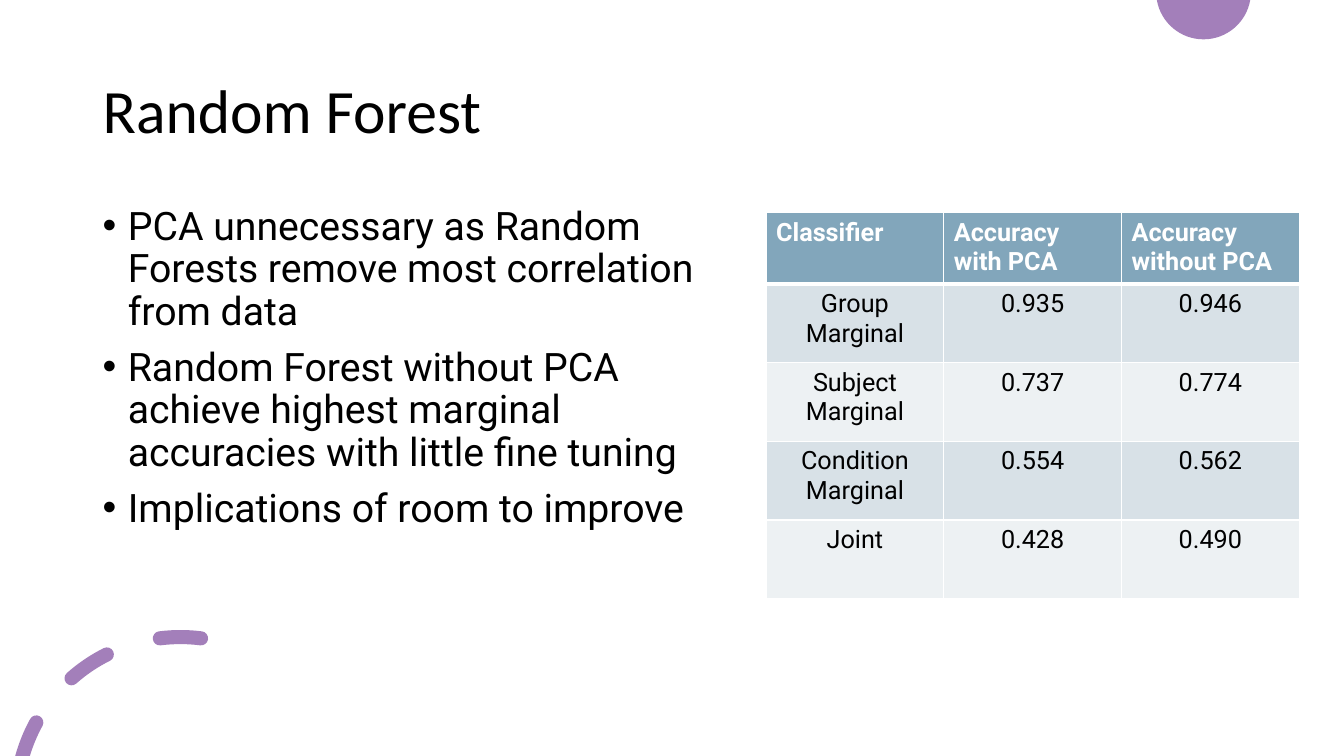
from math import cos, radians, sin, tan

from lxml import etree
from pptx import Presentation
from pptx.dml.color import RGBColor
from pptx.enum.text import MSO_ANCHOR, PP_ALIGN
from pptx.oxml.ns import qn
from pptx.util import Inches, Pt

LEFT, CENTER = PP_ALIGN.LEFT, PP_ALIGN.CENTER
TOP, MIDDLE = MSO_ANCHOR.TOP, MSO_ANCHOR.MIDDLE
BLACK = RGBColor(0x00, 0x00, 0x00)
WHITE = RGBColor(0xFF, 0xFF, 0xFF)
PURPLE = RGBColor(0xA3, 0x7F, 0xBA)
HEADER_BLUE = RGBColor(0x82, 0xA6, 0xBB)
BANDS = (RGBColor(0xD8, 0xE1, 0xE7), RGBColor(0xED, 0xF1, 0xF3))
PAGE_WIDTH, PAGE_HEIGHT = 40 / 3, 7.5

TITLE_FONT = {"name": "Calibri", "size": Pt(44)}
BODY_FONT = {"name": "Roboto", "size": Pt(28)}
HEADER_FONT = {"name": "Roboto", "size": Pt(18), "bold": True}
CELL_FONT = {"name": "Roboto", "size": Pt(18), "bold": False}

BULLETS = (
    "PCA unnecessary as Random Forests remove most correlation from data",
    "Random Forest without PCA achieve highest marginal accuracies with little fine tuning",
    "Implications of room to improve",
)
ACCURACIES = (
    ("Classifier", "Accuracy with PCA", "Accuracy without PCA"),
    ("Group Marginal", "0.935", "0.946"),
    ("Subject Marginal", "0.737", "0.774"),
    ("Condition Marginal", "0.554", "0.562"),
    ("Joint", "0.428", "0.490"),
)
ROW_HEIGHTS = (0.71, 0.78, 0.78, 0.78, 0.78)


def set_font(font, values, color):
    """Apply a dict of format values and a colour to a font."""
    for name, value in values.items():
        setattr(font, name, value)
    font.color.rgb = color


def polar(center, radius, angle):
    """Return the point at an angle in degrees, clockwise from straight up."""
    turn = radians(angle)
    return center[0] + radius * sin(turn), center[1] - radius * cos(turn)


def arc(center, radius, start, end):
    """Return an arc as two cubic curves of four points each."""
    step = (end - start) / 2
    pull = radius * 4 / 3 * tan(radians(step) / 4)
    curves = []
    for angle in (start, start + step):
        first, last = (polar(center, radius, a) for a in (angle, angle + step))
        leave, arrive = (polar((0, 0), pull, a + 90) for a in (angle, angle + step))
        curves.append((first, (first[0] + leave[0], first[1] + leave[1]),
                       (last[0] - arrive[0], last[1] - arrive[1]), last))
    return curves


def add_outline(page, contours):
    """Draw closed contours of cubic curves as one purple shape."""
    builder = page.shapes.build_freeform(*map(Inches, contours[0][0][0]), scale=1.0)
    for number, curves in enumerate(contours):
        if number:
            builder.move_to(*map(Inches, curves[0][0]))
        builder.add_line_segments([tuple(map(Inches, curve[3])) for curve in curves])
    shape = builder.convert_to_shape()
    all_curves = [curve for curves in contours for curve in curves]
    closing = {id(curves[-1]) for curves in contours}
    segments = [part for part in shape._element.iter(qn("a:lnTo"))]
    curve_index = 0
    for segment in segments:
        end = segment[0]
        at = (int(end.get("x")) + shape.left, int(end.get("y")) + shape.top)
        if curve_index == len(all_curves):
            break
        curve = all_curves[curve_index]
        if max(abs(a - Inches(b)) for a, b in zip(at, curve[3])) > 2:
            continue
        for place, (x, y) in enumerate(curve[1:3]):
            point = etree.Element(qn("a:pt"), x=str(Inches(x) - shape.left),
                                  y=str(Inches(y) - shape.top))
            segment.insert(place, point)
        segment.tag = qn("a:cubicBezTo")
        curve_index += 1
        if id(curve) in closing and segment.getnext() is not None:
            following = segment.getnext()
            if following.tag != qn("a:close"):
                segment.addnext(etree.Element(qn("a:close")))
    shape.shadow.inherit = False
    shape.fill.solid()
    shape.fill.fore_color.rgb = PURPLE
    shape.line.fill.background()


def add_dashes(page, center, radius, thickness, spans):
    """Draw round-ended dashes along a circle, the first one cut by the page edge."""
    half = thickness / 2
    contours = []
    for number, (outer_start, inner_start, end) in enumerate(spans):
        contour = (arc(center, radius + half, outer_start, end)
                   + arc(polar(center, radius, end), half, end, end + 180)
                   + arc(center, radius - half, end, inner_start))
        if number:
            tail = polar(center, radius, inner_start)
            contour += arc(tail, half, inner_start + 180, inner_start + 360)
        contours.append(contour)
    add_outline(page, contours)


def add_text(page, box, lines, font, anchor, bulleted=False):
    """Fill a box with paragraphs, optionally bulleted."""
    frame = page.shapes.add_textbox(*map(Inches, box)).text_frame
    frame.word_wrap = True
    frame.vertical_anchor = anchor
    for number, line in enumerate(lines):
        para = frame.add_paragraph() if number else frame.paragraphs[0]
        para.line_spacing = 0.9
        if number:
            para.space_before = Pt(10)
        if bulleted:
            props = para._p.get_or_add_pPr()
            props.set("marL", str(Inches(0.25)))
            props.set("indent", str(Inches(-0.25)))
            etree.SubElement(props, qn("a:buFont"), typeface="Arial")
            etree.SubElement(props, qn("a:buChar"), char="•")
        span = para.add_run()
        span.text = line
        set_font(span.font, font, BLACK)


def set_borders(cell, widths):
    """Give a cell white borders, with widths in points by side."""
    props = cell._tc.get_or_add_tcPr()
    for side, width in widths.items():
        line = etree.SubElement(props, qn(f"a:ln{side}"), w=str(Pt(width)))
        fill = etree.SubElement(line, qn("a:solidFill"))
        etree.SubElement(fill, qn("a:srgbClr"), val=str(WHITE))


def add_accuracy_table(page, box):
    """Place the accuracy table with a header row and banded rows."""
    columns = len(ACCURACIES[0])
    table = page.shapes.add_table(len(ACCURACIES), columns, *map(Inches, box)).table
    for column in table.columns:
        column.width = Inches(box[2] / columns)
    for r, values in enumerate(ACCURACIES):
        table.rows[r].height = Inches(ROW_HEIGHTS[r])
        header = r == 0
        for c, value in enumerate(values):
            cell = table.cell(r, c)
            set_borders(cell, {"L": 1, "R": 1, "T": 3 if r == 1 else 1, "B": 3 if header else 1})
            cell.fill.solid()
            cell.fill.fore_color.rgb = HEADER_BLUE if header else BANDS[(r - 1) % 2]
            para = cell.text_frame.paragraphs[0]
            para.alignment = LEFT if header else CENTER
            span = para.add_run()
            span.text = value
            set_font(span.font, HEADER_FONT if header else CELL_FONT, WHITE if header else BLACK)


def main():
    """Build and save the deck."""
    deck = Presentation()
    deck.slide_width, deck.slide_height = Inches(PAGE_WIDTH), Inches(PAGE_HEIGHT)
    page = deck.slides.add_slide(deck.slide_layouts[6])
    add_outline(page, [arc((11.94, -0.08), 0.47, 260.2, 99.8)])
    add_dashes(page, (1.79, 7.95), 1.63, 0.14,
               ((-74.65, -73.23, -61.3), (-41.5, -41.5, -26.6), (-7.2, -7.2, 7.2)))
    add_text(page, (0.92, 0.4, 11.5, 1.45), ("Random Forest",), TITLE_FONT, MIDDLE)
    add_text(page, (0.92, 2, 6.39, 4.22), BULLETS, BODY_FONT, TOP, bulleted=True)
    add_accuracy_table(page, (7.6, 2.11, 5.29, sum(ROW_HEIGHTS)))
    deck.save("out.pptx")


if __name__ == "__main__":
    main()
